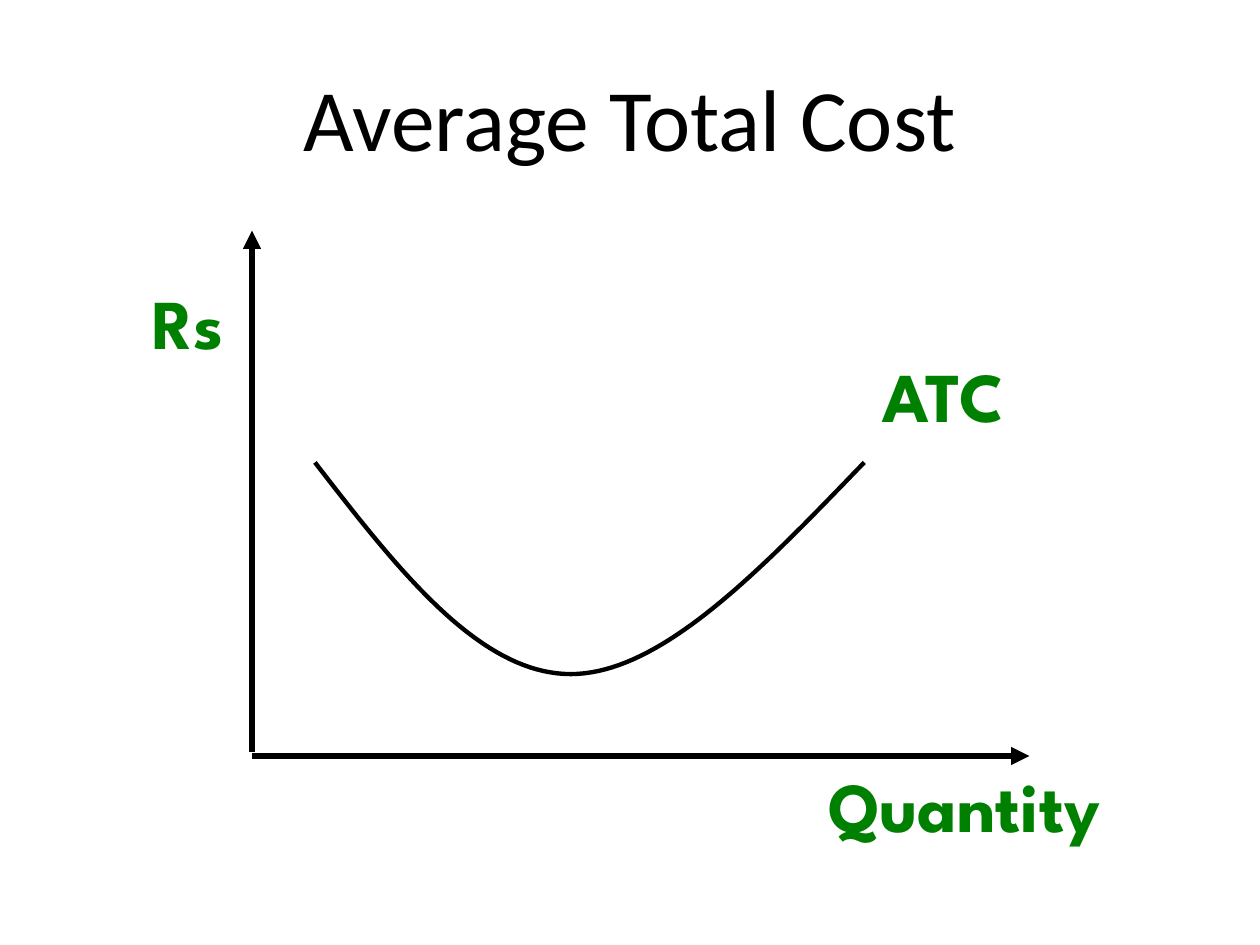
from pptx import Presentation, util as u
from pptx.dml.color import RGBColor
from pptx.enum import shapes, text
from pptx.oxml.ns import qn
from lxml import etree

WIDTH, HEIGHT = 10, 7.5
BLACK, GREEN = "000000", "008000"

TITLE = ("Average Total Cost", (0.5, 0.3, 9, 1.25))
LABELS = [
    ("ATC", (6.86, 2.75, 1.26, 0.77)),
    ("Rs", (1.07, 2.17, 0.84, 0.77)),
    ("Quantity", (6.32, 6, 2.67, 0.77)),
]
AXES = [((2, 5.97), (2, 1.83)), ((2, 6), (8.17, 6))]
# Each half of the cost curve: start, two control points, end
CURVE = [
    ((2.5, 3.67), (3.15, 4.51), (3.8, 5.35), (4.53, 5.35)),
    ((4.53, 5.35), (5.25, 5.35), (6.05, 4.51), (6.86, 3.67)),
]
STEPS = 40


def color(value):
    return RGBColor.from_string(value)


def add_text(slide, content, box, *, font, size, fill, bold=False, wrap=False):
    shape = slide.shapes.add_textbox(*map(u.Inches, box))
    frame = shape.text_frame
    frame.word_wrap = wrap
    frame.auto_size = text.MSO_AUTO_SIZE.NONE if wrap else text.MSO_AUTO_SIZE.SHAPE_TO_FIT_TEXT
    frame.vertical_anchor = text.MSO_ANCHOR.MIDDLE
    paragraph = frame.paragraphs[0]
    paragraph.alignment = text.PP_ALIGN.CENTER
    run = paragraph.add_run()
    run.text = content
    run.font.name, run.font.size, run.font.bold = font, u.Pt(size), bold
    run.font.color.rgb = color(fill)


def set_line(shape, width):
    shape.line.color.rgb = color(BLACK)
    shape.line.width = u.Pt(width)


def add_axis(slide, start, end):
    axis = slide.shapes.add_connector(
        shapes.MSO_CONNECTOR.STRAIGHT, *map(u.Inches, start + end))
    set_line(axis, 3.5)
    properties = axis._element.spPr
    etree.SubElement(properties.find(qn("a:ln")), qn("a:tailEnd"), type="triangle")
    etree.SubElement(properties, qn("a:effectLst"))


def bezier(points, t):
    """Point at share t of a cubic Bezier curve, in EMU."""
    weights = ((1 - t) ** 3, 3 * t * (1 - t) ** 2, 3 * t * t * (1 - t), t ** 3)
    return tuple(u.Inches(sum(w * p[i] for w, p in zip(weights, points))) for i in (0, 1))


def add_cost_curve(slide):
    points = [bezier(half, step / STEPS) for half in CURVE for step in range(1, STEPS + 1)]
    builder = slide.shapes.build_freeform(*bezier(CURVE[0], 0))
    builder.add_line_segments(points, close=False)
    curve = builder.convert_to_shape()
    curve.fill.background()
    curve.shadow.inherit = False
    set_line(curve, 2.5)


def main():
    presentation = Presentation()
    presentation.slide_width, presentation.slide_height = u.Inches(WIDTH), u.Inches(HEIGHT)
    slide = presentation.slides.add_slide(presentation.slide_layouts[6])
    for start, end in AXES:
        add_axis(slide, start, end)
    add_cost_curve(slide)
    for content, box in LABELS:
        add_text(slide, content, box, font="League Spartan", size=40, fill=GREEN, bold=True)
    add_text(slide, *TITLE, font="Calibri", size=50, fill=BLACK, wrap=True)
    presentation.save("out.pptx")


if __name__ == "__main__":
    main()
